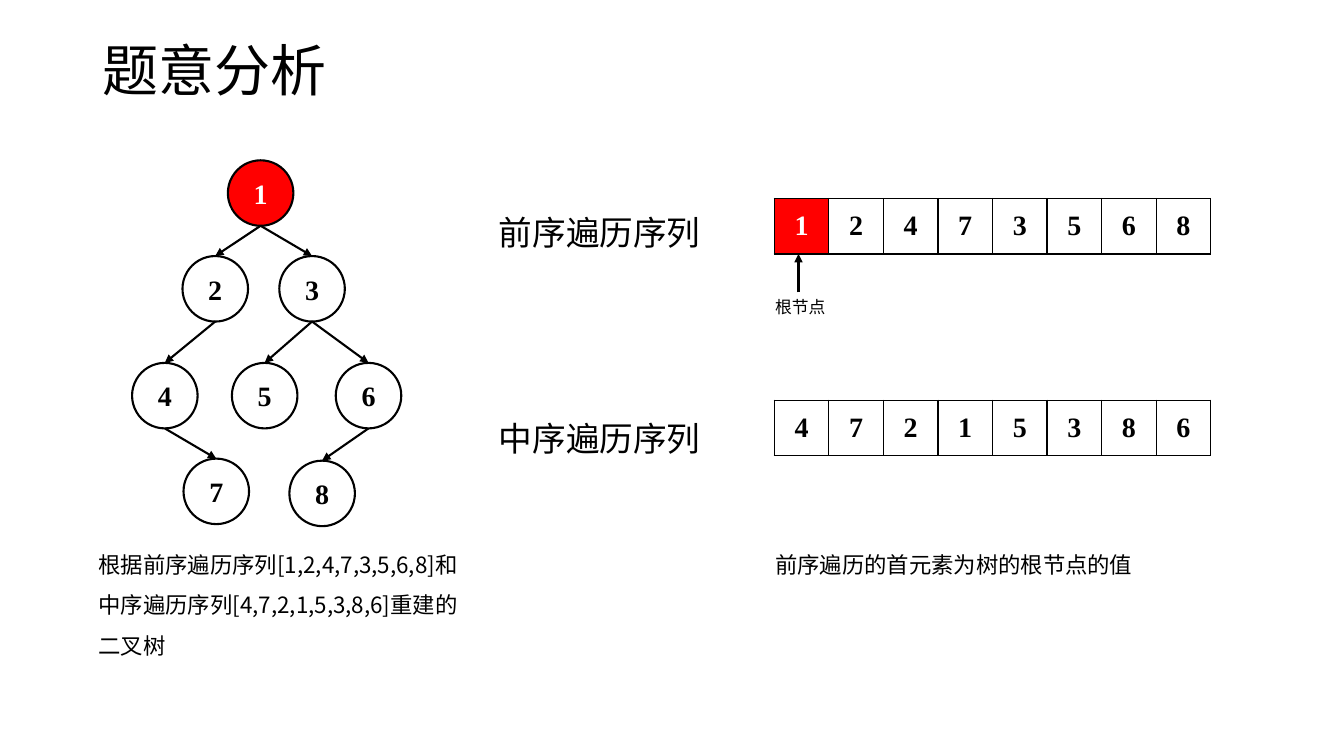
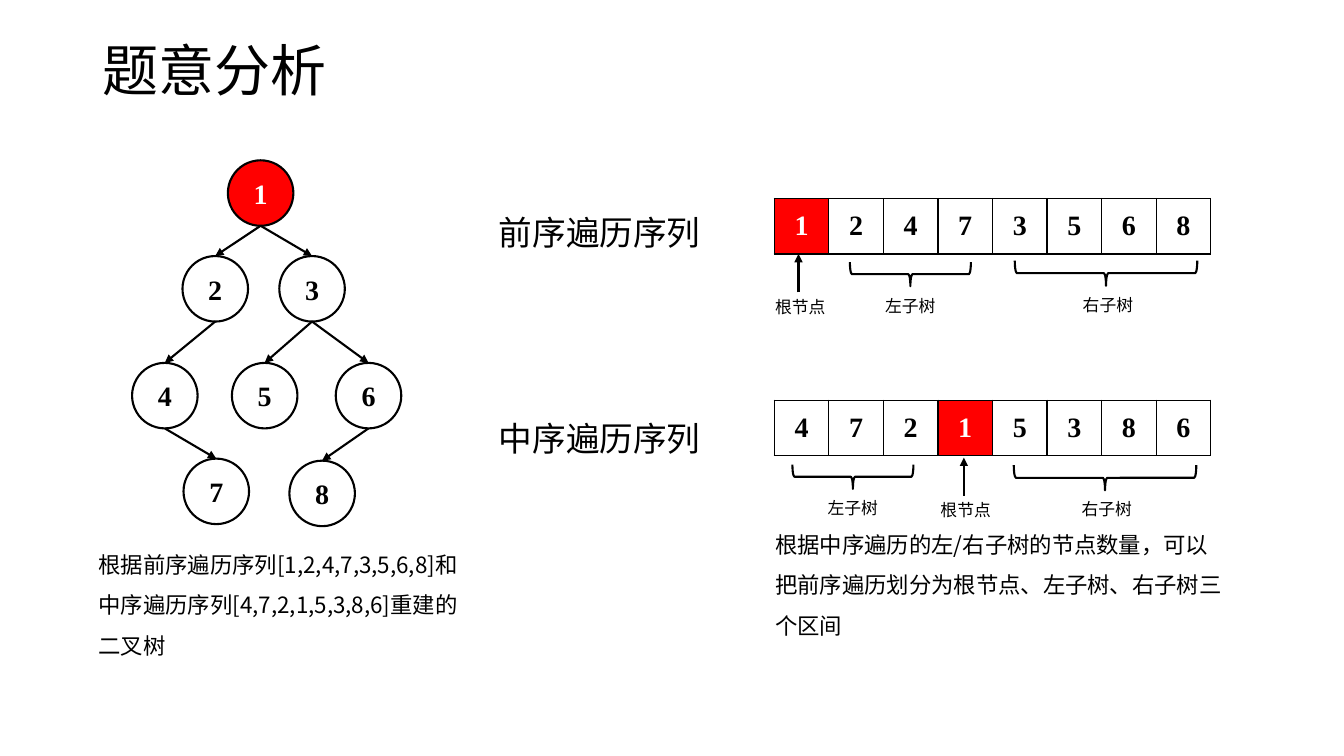
import pptx
import pptx.util
import pptx.dml.color
import pptx.enum.shapes
import pptx.enum.text
import pptx.oxml
import pptx.oxml.ns
import lxml.etree

Inches = pptx.util.Inches
Pt = pptx.util.Pt
SHAPES = pptx.enum.shapes.MSO_SHAPE
ALIGN = pptx.enum.text.PP_ALIGN
ANCHOR = pptx.enum.text.MSO_ANCHOR
qn = pptx.oxml.ns.qn

# Shared style
BLACK, WHITE, RED = "000000", "FFFFFF", "FF0000"
TEXT_FONT, NUMBER_FONT = "Noto Sans CJK SC", "Times New Roman"
LINE_WIDTH = 1.5

# Shared content
TITLE = "题意分析"
PREORDER = [1, 2, 4, 7, 3, 5, 6, 8]
INORDER = [4, 7, 2, 1, 5, 3, 8, 6]
ROOT = 1
TREE_NOTE = f"根据前序遍历序列{PREORDER}和中序遍历序列{INORDER}重建的二叉树".replace(", ", ",")

# Binary tree: left and top of each node, then its edges
NODE_SIZE = 0.65
NODES = {1: (2.26, 1.59), 2: (1.81, 2.54), 3: (2.77, 2.54), 4: (1.31, 3.6),
         5: (2.3, 3.6), 6: (3.33, 3.6), 7: (1.82, 4.55), 8: (2.87, 4.57)}
EDGES = [(1, 2), (1, 3), (2, 4), (3, 5), (3, 6), (4, 7), (6, 8)]

# Sequence rows
ROW_LEFT, ROW_WIDTH, ROW_HEIGHT = 7.68, 4.33, 0.55
PREORDER_TOP, INORDER_TOP = 1.97, 3.97


def rgb(hex_colour):
    return pptx.dml.color.RGBColor.from_string(hex_colour)


def style_text(frame, size, colour=BLACK, font=TEXT_FONT, bold=False,
               align=ALIGN.LEFT, spacing=None):
    for paragraph in frame.paragraphs:
        paragraph.alignment = align
        if spacing:
            paragraph.line_spacing = spacing
        for run in paragraph.runs:
            run.font.size = Pt(size)
            run.font.bold = bold
            run.font.color.rgb = rgb(colour)
            run.font.name = font
            east_asian = lxml.etree.SubElement(run.font._element, qn("a:ea"))
            east_asian.set("typeface", font)


def style_number(frame, colour):
    style_text(frame, 20, colour, NUMBER_FONT, True, ALIGN.CENTER)


def style_line(line):
    line.color.rgb = rgb(BLACK)
    line.width = Pt(LINE_WIDTH)


def add_title(slide, text):
    title = slide.shapes.title
    title.left, title.top = Inches(0.92), Inches(0)
    title.width, title.height = Inches(11.5), Inches(1.45)
    title.text_frame.text = text
    title.text_frame.vertical_anchor = ANCHOR.MIDDLE
    style_text(title.text_frame, 40, spacing=0.9)


def add_text(shapes, text, left, top, width, height, size,
             spacing=None, anchor=ANCHOR.MIDDLE):
    box = shapes.add_textbox(Inches(left), Inches(top), Inches(width), Inches(height))
    frame = box.text_frame
    frame.text = text
    frame.word_wrap = True
    frame.auto_size = pptx.enum.text.MSO_AUTO_SIZE.SHAPE_TO_FIT_TEXT
    frame.vertical_anchor = anchor
    style_text(frame, size, spacing=spacing)


def add_arrow(shapes, start, end):
    arrow = shapes.add_connector(pptx.enum.shapes.MSO_CONNECTOR.STRAIGHT,
                                 *map(Inches, start + end))
    style_line(arrow.line)
    head = lxml.etree.SubElement(arrow.line._get_or_add_ln(), qn("a:tailEnd"))
    head.set("type", "triangle")
    lxml.etree.SubElement(arrow._element.spPr, qn("a:effectLst"))


def add_node(shapes, value, left, top):
    node = shapes.add_shape(SHAPES.OVAL, Inches(left), Inches(top),
                            Inches(NODE_SIZE), Inches(NODE_SIZE))
    node.shadow.inherit = False
    node.fill.solid()
    node.fill.fore_color.rgb = rgb(RED if value == ROOT else WHITE)
    style_line(node.line)
    node.text_frame.text = str(value)
    node.text_frame.vertical_anchor = ANCHOR.MIDDLE
    style_number(node.text_frame, WHITE if value == ROOT else BLACK)


def add_tree(slide):
    tree = slide.shapes.add_group_shape().shapes
    for value, (left, top) in NODES.items():
        add_node(tree, value, left, top)
    radius = NODE_SIZE / 2
    for parent, child in EDGES:
        parent_left, parent_top = NODES[parent]
        child_left, child_top = NODES[child]
        add_arrow(tree, (parent_left + radius, parent_top + NODE_SIZE),
                  (child_left + radius, child_top))


def add_cell_borders(cell):
    properties = cell._tc.get_or_add_tcPr()
    for position, side in enumerate(("a:lnL", "a:lnR", "a:lnT", "a:lnB")):
        border = pptx.oxml.parse_xml(
            f'<{side} {pptx.oxml.ns.nsdecls("a")} w="{Pt(1)}"><a:solidFill>'
            f'<a:srgbClr val="{BLACK}"/></a:solidFill></{side}>')
        properties.insert(position, border)


def add_sequence(slide, values, top, mark_root):
    row = slide.shapes.add_table(1, len(values), Inches(ROW_LEFT), Inches(top),
                                 Inches(ROW_WIDTH), Inches(ROW_HEIGHT)).table
    row.first_row = row.horz_banding = False
    for column, value in enumerate(values):
        marked = mark_root and value == ROOT
        cell = row.cell(0, column)
        cell.text_frame.text = str(value)
        cell.vertical_anchor = ANCHOR.MIDDLE
        cell.margin_left = cell.margin_right = Inches(0.11)
        cell.margin_top = cell.margin_bottom = Inches(0.06)
        cell.fill.solid()
        cell.fill.fore_color.rgb = rgb(RED if marked else WHITE)
        style_number(cell.text_frame, WHITE if marked else BLACK)
        add_cell_borders(cell)


def add_root_pointer(slide, x, tip):
    pointer = slide.shapes.add_group_shape().shapes
    add_arrow(pointer, (x, tip + 0.38), (x, tip))
    add_text(pointer, "根节点", x - 0.33, tip + 0.37, 0.84, 0.3, 12)


def add_subtree_brace(slide, label, centre, middle, span, depth, label_left):
    """A left brace turned to open upwards, with its label below."""
    group = slide.shapes.add_group_shape().shapes
    brace = group.add_shape(SHAPES.LEFT_BRACE, Inches(centre - depth / 2),
                            Inches(middle - span / 2), Inches(depth), Inches(span))
    brace.rotation = 270
    brace.shadow.inherit = False
    brace.fill.background()
    style_line(brace.line)
    add_text(group, label, label_left, middle + 0.16, 0.78, 0.31, 12,
             anchor=ANCHOR.TOP)


def add_analysis_slide(deck, mark_inorder_root):
    """The parts that both steps of the analysis have in common."""
    slide = deck.slides.add_slide(deck.slide_layouts.get_by_name("Title Only"))
    add_title(slide, TITLE)
    add_text(slide.shapes, "前序遍历序列", 4.85, 1.88, 2.4, 0.64, 24, 1.5)
    add_sequence(slide, PREORDER, PREORDER_TOP, True)
    add_text(slide.shapes, "中序遍历序列", 4.85, 3.93, 2.4, 0.64, 24, 1.5)
    add_sequence(slide, INORDER, INORDER_TOP, mark_inorder_root)
    add_root_pointer(slide, 7.92, 2.52)
    add_tree(slide)
    add_text(slide.shapes, TREE_NOTE, 0.88, 5.3, 3.79, 1.27, 16, 1.5)
    return slide


def main():
    deck = pptx.Presentation()
    deck.slide_width, deck.slide_height = Inches(13.33), Inches(7.5)

    # Step 1: the root is the first preorder value
    root_step = add_analysis_slide(deck, False)
    add_text(root_step.shapes, "前序遍历的首元素为树的根节点的值",
             7.59, 5.3, 4.87, 0.46, 16, 1.5)

    # Step 2: the inorder root splits both sequences into subtrees
    split_step = add_analysis_slide(deck, True)
    add_root_pointer(split_step, 9.56, 4.54)
    for centre, middle, label_left in ((9.03, 2.72, 8.68), (8.46, 4.73, 8.11)):
        add_subtree_brace(split_step, "左子树", centre, middle, 1.2, 0.24, label_left)
    for centre, middle, label_left in ((10.97, 2.71, 10.64), (10.96, 4.74, 10.63)):
        add_subtree_brace(split_step, "右子树", centre, middle, 1.81, 0.25, label_left)
    add_text(split_step.shapes,
             "根据中序遍历的左/右子树的节点数量，可以把前序遍历划分为根节点、左子树、右子树三个区间",
             7.59, 5.1, 4.66, 1.27, 16, 1.5)

    deck.save("out.pptx")


main()
